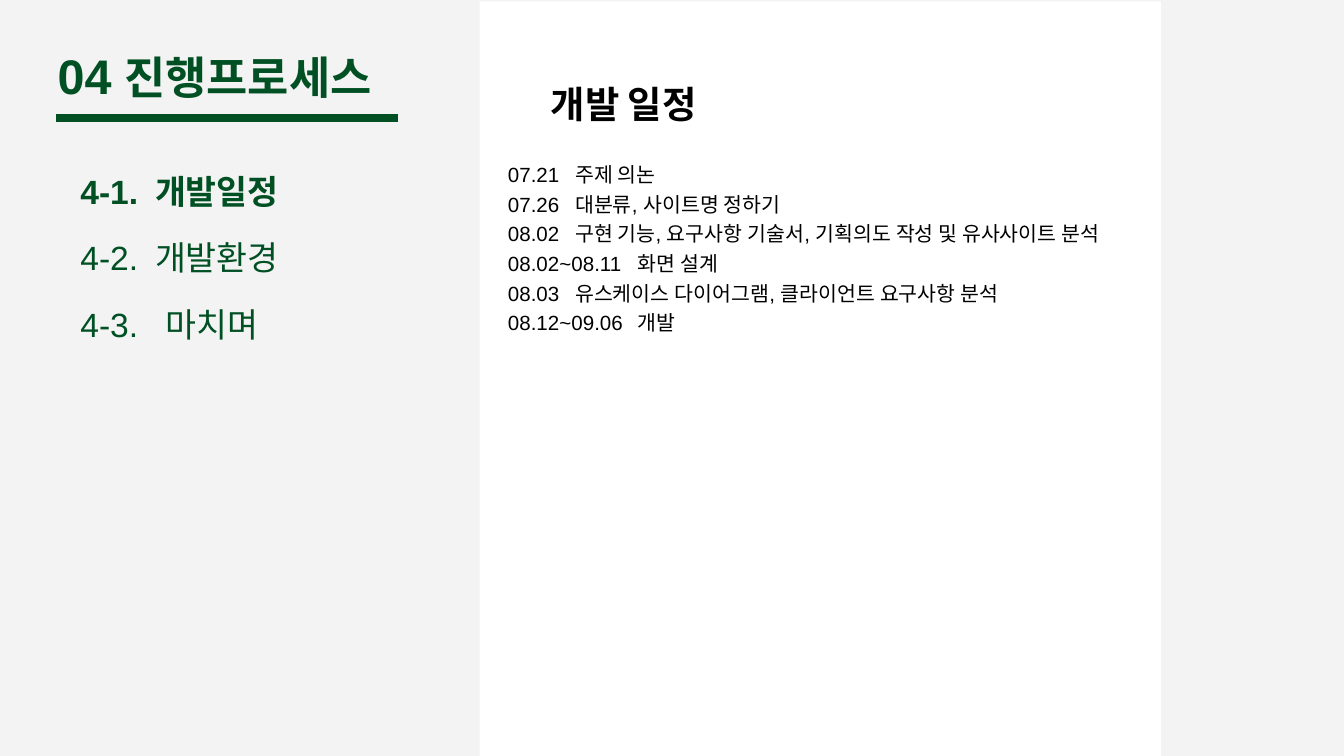
from dataclasses import dataclass

from lxml.etree import SubElement
from pptx import Presentation
from pptx.dml.color import RGBColor
from pptx.enum.shapes import MSO_CONNECTOR, MSO_SHAPE
from pptx.enum.text import MSO_ANCHOR, MSO_AUTO_SIZE, PP_ALIGN
from pptx.oxml.ns import qn
from pptx.util import Pt


@dataclass(frozen=True)
class Theme:
    font: str = "Arial"
    backdrop: RGBColor = RGBColor(0xF3, 0xF3, 0xF3)
    panel: RGBColor = RGBColor(0xFF, 0xFF, 0xFF)
    ink: RGBColor = RGBColor(0x00, 0x00, 0x00)
    green: RGBColor = RGBColor(0x00, 0x50, 0x24)
    number_size: int = 26
    title_size: int = 24
    heading_size: int = 20
    menu_size: int = 18
    schedule_size: int = 11


THEME = Theme()

# Menu entries: number, label, position of the label
MENU = [("4-1.", "개발일정", 40), ("4-2.", "개발환경", 40), ("4-3.", "마치며", 45.5)]
CURRENT = "4-1."

SCHEDULE = [
    ("07.21", "주제 의논"),
    ("07.26", "대분류, 사이트명 정하기"),
    ("08.02", "구현 기능, 요구사항 기술서, 기획의도 작성 및 유사사이트 분석"),
    ("08.02~08.11", "화면 설계"),
    ("08.03", "유스케이스 다이어그램, 클라이언트 요구사항 분석"),
    ("08.12~09.06", "개발"),
]
SCHEDULE_TABS = (36, 69.5)  # after a single date, after a date range


def place(shape, left, top, width, height):
    shape.left, shape.top = Pt(left), Pt(top)
    shape.width, shape.height = Pt(width), Pt(height)


def set_frame(frame, inset_x, inset_y, anchor=MSO_ANCHOR.TOP):
    frame.word_wrap = True
    frame.vertical_anchor = anchor
    frame.margin_left = frame.margin_right = Pt(inset_x)
    frame.margin_top = frame.margin_bottom = Pt(inset_y)


def add_text_box(slide, box, inset_x=5, inset_y=2.9):
    frame = slide.shapes.add_textbox(*map(Pt, box)).text_frame
    set_frame(frame, inset_x, inset_y)
    frame.auto_size = MSO_AUTO_SIZE.SHAPE_TO_FIT_TEXT
    return frame


def add_run(paragraph, text, size, color, bold=False):
    run = paragraph.add_run()
    run.text = text
    run.font.name = THEME.font
    run.font.size = Pt(size)
    run.font.bold = bold
    run.font.color.rgb = color


def set_tabs(paragraph, *stops):
    tab_list = SubElement(paragraph._p.get_or_add_pPr(), qn("a:tabLst"))
    for stop in stops:
        SubElement(tab_list, qn("a:tab"), pos=str(int(Pt(stop))), algn="l")


def add_title(slide, left, top, width, height):
    title = slide.shapes.title
    place(title, left, top, width, height)
    frame = title.text_frame
    set_frame(frame, 5, 2.9, MSO_ANCHOR.MIDDLE)
    frame.auto_size = MSO_AUTO_SIZE.NONE
    paragraph = frame.paragraphs[0]
    paragraph.alignment = PP_ALIGN.LEFT
    paragraph.line_spacing = 1.0
    add_run(paragraph, "04", THEME.number_size, THEME.green, bold=True)
    add_run(paragraph, " ", THEME.title_size, THEME.green)
    add_run(paragraph, "진행프로세스", THEME.title_size, THEME.green, bold=True)

    # Underline
    line_y = Pt(top + 40.3)
    underline = slide.shapes.add_connector(
        MSO_CONNECTOR.STRAIGHT, Pt(left + 4.3), line_y, Pt(left + 187.2), line_y)
    underline.line.color.rgb = THEME.green
    underline.line.width = Pt(4)
    SubElement(underline._element.spPr, qn("a:effectLst"))


def add_menu(slide, left, top, width, height):
    row_height = height / len(MENU)
    for row, (number, label, label_stop) in enumerate(MENU):
        box = (left, top + row * row_height, width, row_height)
        paragraph = add_text_box(slide, box, 7.2, 7.2).paragraphs[0]
        set_tabs(paragraph, label_stop)
        add_run(paragraph, f"{number}\t{label}", THEME.menu_size, THEME.green,
                bold=number == CURRENT)


def add_schedule_panel(slide, left, top, width, height):
    # White panel
    panel = slide.shapes.add_shape(
        MSO_SHAPE.RECTANGLE, Pt(left), Pt(top), Pt(width), Pt(height))
    panel.shadow.inherit = False
    panel.fill.solid()
    panel.fill.fore_color.rgb = THEME.panel
    panel.line.fill.background()

    # Heading
    heading = add_text_box(slide, (left + 33.1, top + 35.3, 170.6, 29.5)).paragraphs[0]
    heading.line_spacing = 1.2
    add_run(heading, "개발 일정", THEME.heading_size, THEME.ink, bold=True)

    # Dated steps
    steps = add_text_box(slide, (left + 10.1, top + 80.7, width - 10.8, 162.7))
    for row, (date, step) in enumerate(SCHEDULE):
        paragraph = steps.add_paragraph() if row else steps.paragraphs[0]
        paragraph.line_spacing = 1.2
        set_tabs(paragraph, *SCHEDULE_TABS)
        add_run(paragraph, f"{date}\t{step}", THEME.schedule_size, THEME.ink)


def main():
    presentation = Presentation()
    presentation.slide_width, presentation.slide_height = Pt(720), Pt(405)
    title_only = presentation.slide_layouts[5]
    slide = presentation.slides.add_slide(title_only)
    slide.background.fill.solid()
    slide.background.fill.fore_color.rgb = THEME.backdrop

    add_schedule_panel(slide, 257, 0.7, 365, 404.3)
    add_title(slide, 25.9, 23, 223.9, 34.6)
    add_menu(slide, 36, 84.2, 122.4, 107.1)
    presentation.save("out.pptx")


if __name__ == "__main__":
    main()
